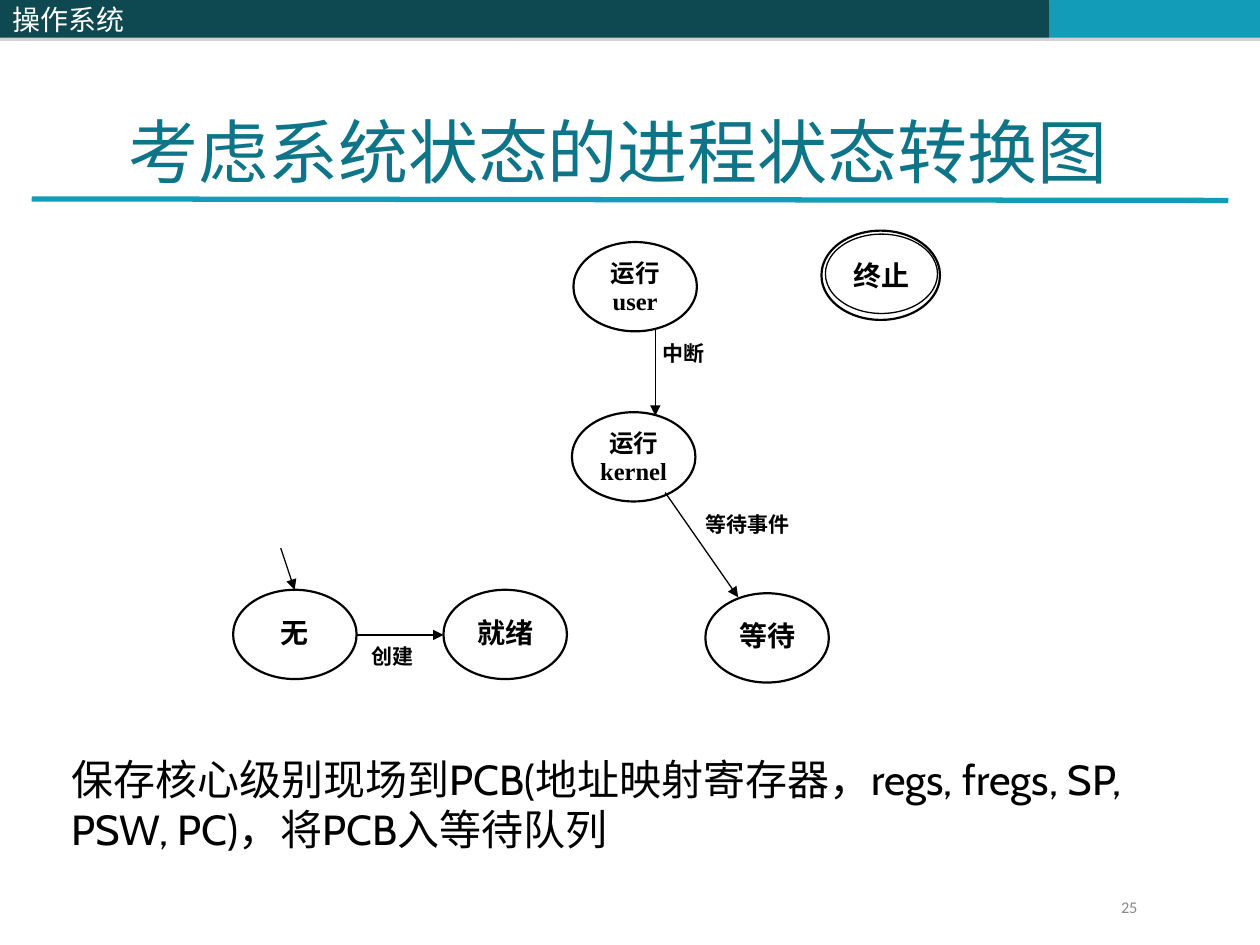
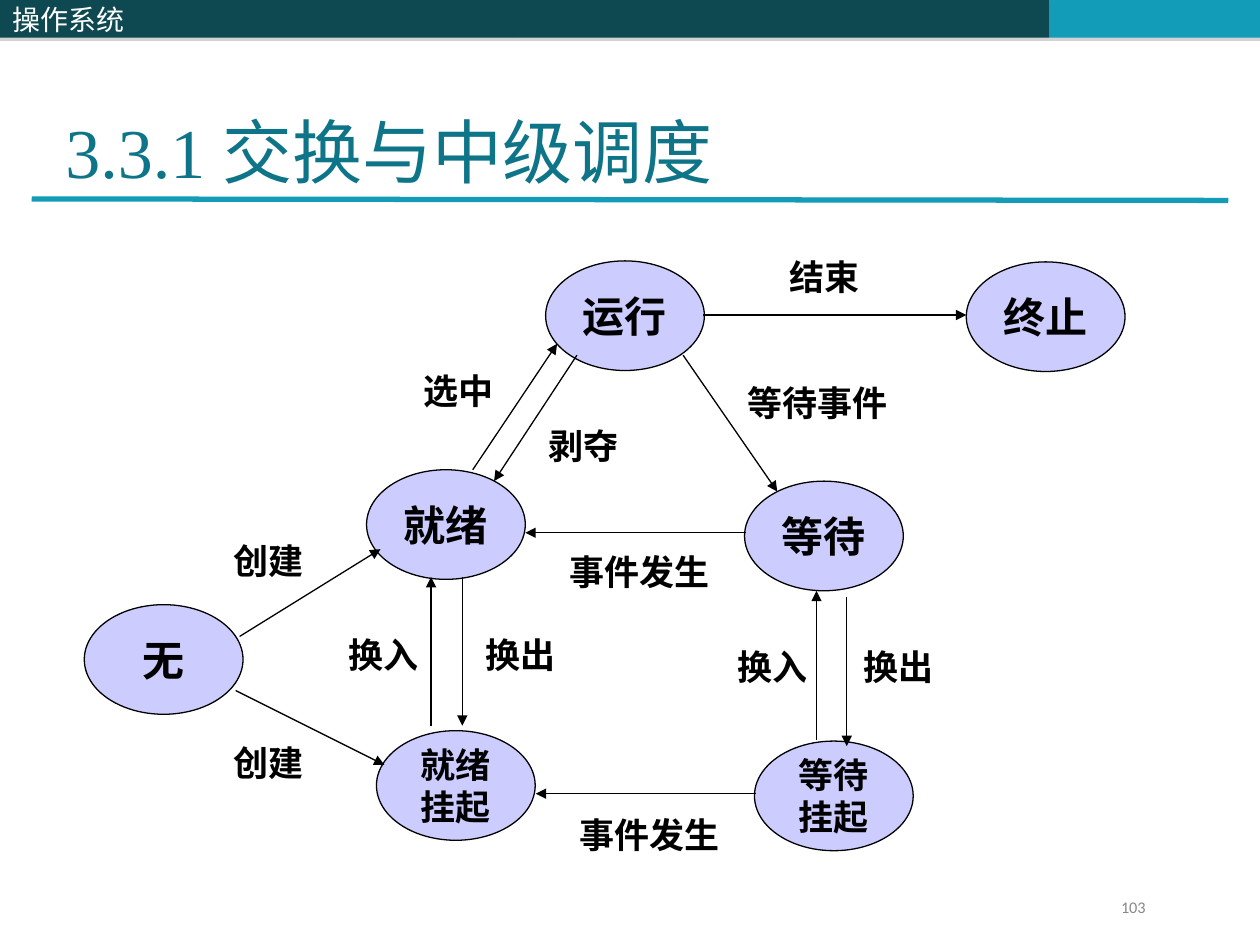
from dataclasses import dataclass
from lxml.etree import SubElement
from pptx import Presentation
from pptx.dml.color import RGBColor
from pptx.enum.shapes import MSO_CONNECTOR, MSO_SHAPE
from pptx.enum.text import MSO_ANCHOR, PP_ALIGN
from pptx.oxml import parse_xml
from pptx.oxml.ns import nsdecls, qn
from pptx.util import Cm, Pt


@dataclass(frozen=True)
class Theme:
    dark: str = "0E4851"
    teal: str = "139CB7"
    title: str = "0E7589"
    lilac: str = "CCCCFF"
    black: str = "000000"
    white: str = "FFFFFF"
    grey: str = "898989"
    shade: str = "808080"
    serif: str = "Times New Roman"
    sans: str = "Cabin"
    small: str = "Calibri"
    asian: str = "Noto Sans CJK SC"
    head_size: float = 40
    body_size: float = 24
    name_size: float = 20
    band_size: float = 16
    pair_size: float = 14
    note_size: float = 12
    page_size: float = 9.3


T = Theme()
OVAL, RECT = MSO_SHAPE.OVAL, MSO_SHAPE.RECTANGLE


def write(slide, text, box, form=None, fill=None, edge=None, width=0.75,
          size=T.note_size, font=T.serif, color=T.black, bold=False, align=PP_ALIGN.LEFT,
          anchor=MSO_ANCHOR.TOP, inset=(0.25, 0.13, 0.25, 0.13), space=None, wrap=True):
    """Place text in a box, or in a preset shape when form is given."""
    place = [Cm(v) for v in box]
    if form is None:
        shape = slide.shapes.add_textbox(*place)
    else:
        shape = slide.shapes.add_shape(form, *place)
        shape.shadow.inherit = False
        if fill:
            shape.fill.solid()
            shape.fill.fore_color.rgb = RGBColor.from_string(fill)
        else:
            shape.fill.background()
        if edge:
            shape.line.color.rgb = RGBColor.from_string(edge)
            shape.line.width = Pt(width)
        else:
            shape.line.fill.background()
    if not text:
        return shape
    frame = shape.text_frame
    frame.word_wrap = wrap
    frame.vertical_anchor = anchor
    frame.margin_left, frame.margin_top, frame.margin_right, frame.margin_bottom = map(Cm, inset)
    for i, row in enumerate(text.split("\n")):
        para = frame.add_paragraph() if i else frame.paragraphs[0]
        para.alignment = align
        if space:
            para.line_spacing = space
        run = para.add_run()
        run.text = row
        run.font.size = Pt(size)
        run.font.name = font
        run.font.bold = bold
        run.font.color.rgb = RGBColor.from_string(color)
        SubElement(run.font._element, qn("a:ea"), typeface=T.asian)
    return shape


def link(slide, ends, color=T.black, width=0.75, arrow=True):
    """Draw a straight line, with an arrowhead at its far end by default."""
    line = slide.shapes.add_connector(MSO_CONNECTOR.STRAIGHT, *[Cm(v) for v in ends])
    line.line.color.rgb = RGBColor.from_string(color)
    line.line.width = Pt(width)
    if arrow:
        SubElement(line.line._get_or_add_ln(), qn("a:tailEnd"), type="triangle")
    SubElement(line._element.spPr, qn("a:effectLst"))


deck = Presentation()
deck.slide_width, deck.slide_height = Cm(25.4), Cm(19.05)

# Shared frame: bands, rule, title, page number
pages = []
for title, left, number in [("考虑系统状态的进程状态转换图", 2.34, "25"),
                            ("3.3.1 交换与中级调度", 1.07, "103")]:
    page = deck.slides.add_slide(deck.slide_layouts[6])
    pages.append(page)
    for text, x, wide, fill in [("", 10.36, 10.8, T.dark), ("", 21.16, 4.24, T.teal),
                                ("操作系统", 0, 10.36, T.dark)]:
        band = write(page, text, (x, 0, wide, 0.76), form=RECT, fill=fill, size=T.band_size,
                     font=T.asian, color=T.white, anchor=MSO_ANCHOR.MIDDLE)
        band._element.spPr.find(qn("a:effectLst")).append(parse_xml(
            f'<a:outerShdw {nsdecls("a")} blurRad="0" dist="{Pt(1.8)}" dir="5400000">'
            f'<a:srgbClr val="{T.shade}"><a:alpha val="35000"/></a:srgbClr></a:outerShdw>'))
    link(page, (0.64, 4.01, 24.76, 4.04), color=T.teal, width=3, arrow=False)
    write(page, title, (left, 0.84, 21.59, 3.17), size=T.head_size, color=T.title,
          anchor=MSO_ANCHOR.BOTTOM)
    write(page, number, (22.35, 18.03, 2.6, 0.69), size=T.page_size, font=T.small,
          color=T.grey, space=0.8)
first, second = pages

# Slide 1: event labels
for text, x, y, wide in [("等待事件", 14.17, 10.29, 2.03), ("中断", 13.31, 6.83, 1.17),
                         ("创建", 7.44, 12.95, 1.22)]:
    write(first, text, (x, y, wide, 0.84), form=RECT, fill=T.white, edge=T.white, bold=True,
          inset=(0.05, 0.03, 0.05, 0.03))

# Slide 1: states, with a double ring for the last one
node = dict(form=OVAL, fill=T.white, edge=T.black, bold=True, align=PP_ALIGN.CENTER, space=0.96)
pair = dict(node, width=1.25, size=T.pair_size, inset=(0.1, 0.1, 0.1, 0.1))
lone = dict(node, size=T.band_size, inset=(0.1, 0.3, 0.1, 0.2))
for text, x, y in [("运行\nuser", 11.56, 4.88), ("运行\nkernel", 11.53, 8.31)]:
    write(first, text, (x, y, 2.49, 1.8), **pair)
for text, x, y in [("等待", 14.22, 11.96), ("就绪", 8.94, 11.89), ("无", 4.7, 11.89)]:
    write(first, text, (x, y, 2.49, 1.8), width=1.25, **lone)
write(first, "终止", (16.64, 4.72, 2.26, 1.6), **lone)
write(first, "", (16.56, 4.65, 2.39, 1.8), form=OVAL, edge=T.black, width=1.25)

# Slide 1: transitions
for ends in [(13.21, 6.63, 13.21, 8.38), (13.41, 9.93, 14.88, 12.04),
             (7.19, 12.8, 8.94, 12.8), (5.66, 11.05, 5.94, 11.89)]:
    link(first, ends)

# Slide 1: what is saved
write(first, "保存核心级别现场到PCB(地址映射寄存器，regs, fregs, SP, PSW, PC)，将PCB入等待队列",
      (1.19, 15.06, 23.22, 2.29), size=T.body_size, font=T.sans)

# Slide 2: states
for text, x, y in [("就绪", 7.39, 9.47), ("等待", 15.01, 9.7), ("运行", 11, 5.26),
                   ("就绪\n挂起", 7.59, 14.73), ("等待\n挂起", 15.21, 14.94),
                   ("无", 1.7, 12.19), ("终止", 19.48, 5.28)]:
    write(second, text, (x, y, 3.2, 2.21), form=OVAL, fill=T.lilac, edge=T.black,
          size=T.name_size if "\n" in text else T.body_size, bold=True,
          align=PP_ALIGN.CENTER, anchor=MSO_ANCHOR.MIDDLE, wrap=False)

# Slide 2: transitions
for ends in [(11.63, 7.16, 9.96, 9.7), (13.77, 7.16, 15.67, 9.91),
             (15.04, 10.74, 10.59, 10.74), (9.53, 9.47, 11.23, 6.93),
             (15.24, 16, 10.8, 16), (4.83, 12.83, 7.67, 11.07),
             (4.75, 13.92, 7.75, 15.42), (14.17, 6.35, 19.48, 6.35),
             (9.32, 11.63, 9.32, 14.63), (8.69, 14.63, 8.69, 11.63),
             (17.07, 12.04, 17.07, 15.04), (16.46, 14.91, 16.46, 11.91)]:
    link(second, ends)

# Slide 2: event labels
for text, x, y in [("剥夺", 10.8, 8.43), ("选中", 8.28, 7.32), ("等待事件", 14.81, 7.57),
                   ("事件发生", 11.23, 10.97), ("创建", 4.45, 10.74), ("创建", 4.45, 14.81),
                   ("结束", 15.67, 5.03), ("换出", 9.53, 12.65), ("换出", 17.15, 12.88),
                   ("换入", 6.78, 12.65), ("换入", 14.61, 12.88), ("事件发生", 11.43, 16.26)]:
    write(second, text, (x, y, 1 + 0.6 * len(text), 1.12), size=T.name_size, bold=True)

deck.save("out.pptx")
